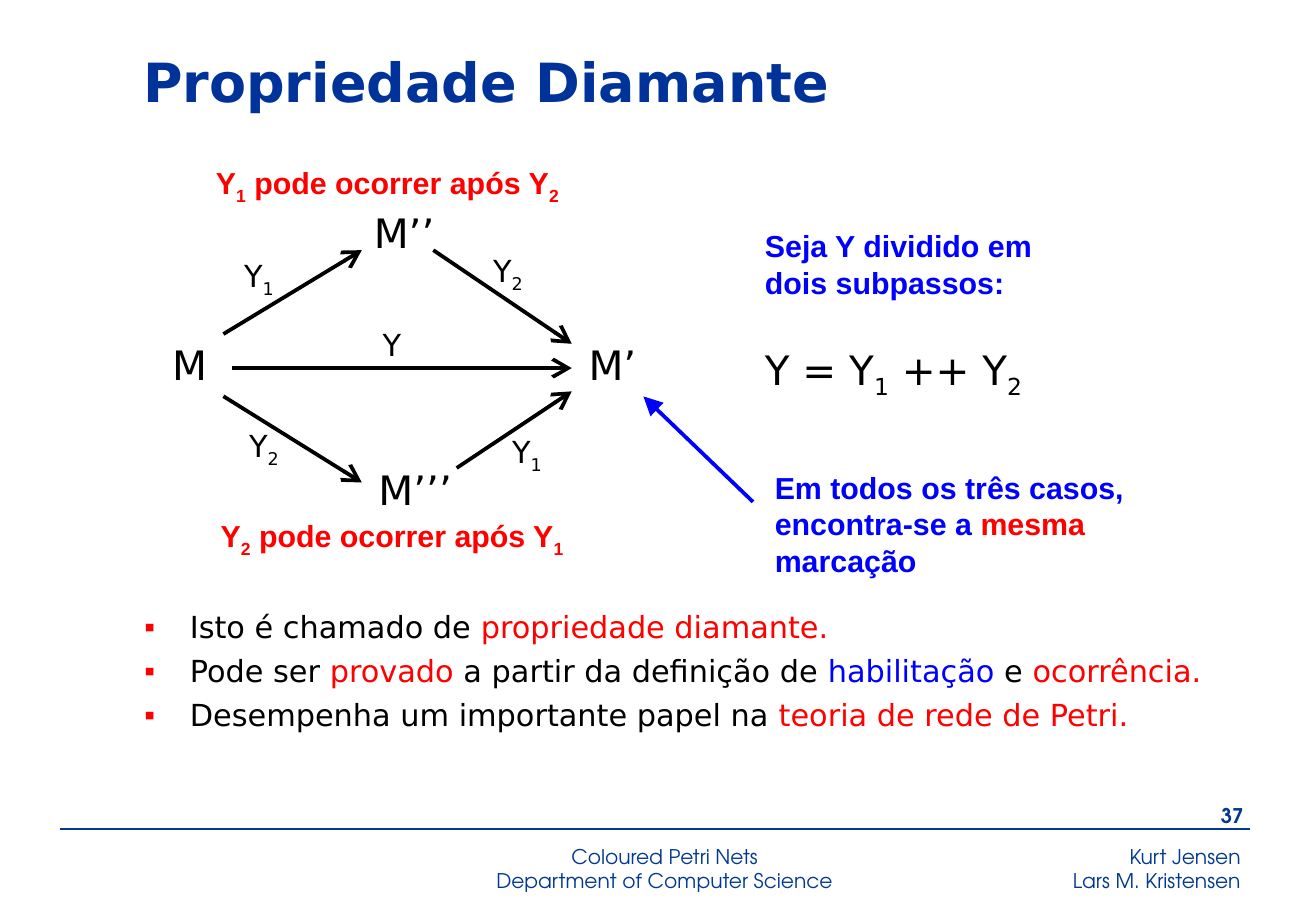
from dataclasses import dataclass

from lxml.etree import SubElement
from pptx import Presentation
from pptx.dml.color import RGBColor
from pptx.enum.shapes import MSO_CONNECTOR as Connector
from pptx.enum.text import MSO_ANCHOR as Anchor, PP_ALIGN as Align
from pptx.oxml.ns import qn
from pptx.util import Pt


@dataclass(frozen=True)
class Style:
    font: str
    size: float
    colour: str
    bold: bool = False
    align: Align = Align.LEFT
    line_spacing: float = 1.0
    space_before: float = 0
    bullet: str = ""


class Theme:
    navy, title_blue = "003893", "003399"
    black, blue, red = "000000", "0000FF", "FF0000"
    sans, note, footer = "DejaVu Sans", "Arial", "TeX Gyre Adventor"
    rule_width, arrow_width = 1.5, 2.25
    bullet_indent = 27
    styles = {
        "title": Style(sans, 32, title_blue, bold=True),
        "marking": Style(sans, 24, black, line_spacing=0.8),
        "step": Style(sans, 18, black, line_spacing=0.8),
        "remark": Style(note, 18, blue, bold=True),
        "caption": Style(note, 18, red, bold=True),
        "bullets": Style(sans, 18, black, space_before=4.5, bullet="▪"),
        "centre": Style(footer, 12, navy, align=Align.CENTER),
        "right": Style(footer, 12, navy, align=Align.RIGHT),
        "number": Style(footer, 12, navy, bold=True, align=Align.RIGHT),
    }


RED, BLUE = Theme.red, Theme.blue
PAGE_SIZE = (780.48, 540)
STEP_SIZE = (42.5, 33.8)
CAPTION_SIZE = (254.9, 31.7)

# Style, (left, top), (width, height), paragraphs. A paragraph is a list of
# spans, each a string or (string, colour); "_" lowers the next character.
TEXTS = [
    ("right", (500.4, 497), (242.6, 36), [["Kurt Jensen"], ["Lars M. Kristensen"]]),
    ("number", (693.4, 472.5), (51.1, 23.8), [["37"]]),
    ("centre", (245.5, 497), (297.4, 33.8),
     [["Coloured Petri Nets"], ["Department of Computer Science"]]),
    ("title", (77.8, 23.3), (470.9, 49.7), [["Propriedade Diamante"]]),
    ("marking", (95, 203.8), (51.1, 33.8), [["M"]]),
    ("marking", (342, 203.8), (51.1, 33.8), [["M’"]]),
    ("marking", (214.6, 125.5), (70.6, 33.8), [["M’’"]]),
    ("marking", (217.4, 277.5), (59.8, 33.8), [["M’’’"]]),
    ("marking", (446.6, 204), (195.8, 33.8), [["Y = Y_1 ++ Y_2"]]),
    ("step", (219.8, 194), STEP_SIZE, [["Y"]]),
    ("step", (137.7, 151.2), STEP_SIZE, [["Y_1"]]),
    ("step", (285.3, 148.5), STEP_SIZE, [["Y_2"]]),
    ("step", (140.6, 252), STEP_SIZE, [["Y_2"]]),
    ("step", (296.6, 255.8), STEP_SIZE, [["Y_1"]]),
    ("remark", (446.6, 131.3), (204.5, 50.4), [["Seja Y dividido em dois subpassos:"]]),
    ("remark", (452.4, 274.6), (229.7, 72),
     [["Em todos os três casos, encontra-se a ", ("mesma", RED), " marcação"]]),
    ("caption", (121, 93.9), CAPTION_SIZE, [["Y_1 pode ocorrer após Y_2"]]),
    ("caption", (123.8, 303.1), CAPTION_SIZE, [["Y_2 pode ocorrer após Y_1"]]),
    ("bullets", (78.5, 357.2), (691.9, 93.6), [
        ["Isto é chamado de ", ("propriedade diamante.", RED)],
        ["Pode ser ", ("provado", RED), " a partir da definição de ",
         ("habilitação", BLUE), " e ", ("ocorrência.", RED)],
        ["Desempenha um importante papel na ", ("teoria de rede de Petri.", RED)],
    ]),
]

FOOTER_RULE = ((35.3, 491.3), (741.6, 491.3))
STEP_ARROWS = [
    ((137.5, 218.2), (339.1, 218.2)),
    ((132.5, 198), (214.6, 148.3)),
    ((257, 148.3), (339.1, 203.8)),
    ((132.5, 234.9), (214.6, 286)),
    ((270.9, 277.4), (339.1, 232)),
]
REMARK_ARROW = ((446.6, 297.5), (381.6, 235))


def add_spans(para, text, colour):
    """Add text in one colour, lowering each character that follows "_"."""
    first, *rest = text.split("_")
    pieces = [(first, False)]
    for part in rest:
        pieces += [(part[0], True), (part[1:], False)]
    for piece, lowered in pieces:
        if not piece:
            continue
        span = para.add_run()
        span.text = piece
        if colour:
            span.font.color.rgb = RGBColor.from_string(colour)
        if lowered:
            span._r.get_or_add_rPr().set("baseline", "-25000")


def add_bullet(para, mark):
    props = para._p.get_or_add_pPr()
    indent = Pt(Theme.bullet_indent)
    props.set("marL", str(indent))
    props.set("indent", str(-indent))
    SubElement(SubElement(props, qn("a:buClr")), qn("a:srgbClr")).set("val", RED)
    SubElement(props, qn("a:buFont")).set("typeface", Theme.note)
    SubElement(props, qn("a:buChar")).set("char", mark)


def format_para(para, style, is_first):
    para.alignment = style.align
    para.line_spacing = style.line_spacing
    if not is_first:
        para.space_before = Pt(style.space_before)
    if style.bullet:
        add_bullet(para, style.bullet)
    font = para.font
    font.name, font.size, font.bold = style.font, Pt(style.size), style.bold
    font.color.rgb = RGBColor.from_string(style.colour)


def add_text(page, kind, corner, size, paragraphs):
    box = page.shapes.add_textbox(*map(Pt, corner + size))
    frame = box.text_frame
    frame.word_wrap = True
    frame.vertical_anchor = Anchor.MIDDLE if kind == "title" else Anchor.TOP
    for index, spans in enumerate(paragraphs):
        para = frame.add_paragraph() if index else frame.paragraphs[0]
        format_para(para, Theme.styles[kind], index == 0)
        for span in spans:
            text, colour = (span, None) if isinstance(span, str) else span
            add_spans(para, text, colour)


def add_line(page, ends, colour, width, head=None):
    start, end = ends
    line = page.shapes.add_connector(Connector.STRAIGHT, *map(Pt, start + end))
    line.line.color.rgb = RGBColor.from_string(colour)
    line.line.width = Pt(width)
    if head:
        tail = SubElement(line.line._get_or_add_ln(), qn("a:tailEnd"))
        for name, value in (("type", head), ("w", "lg"), ("len", "lg")):
            tail.set(name, value)
    SubElement(line._element.spPr, qn("a:effectLst"))


def main():
    deck = Presentation()
    deck.slide_width, deck.slide_height = map(Pt, PAGE_SIZE)
    page = deck.slides.add_slide(deck.slide_layouts[6])
    add_line(page, FOOTER_RULE, Theme.navy, Theme.rule_width)
    for ends in STEP_ARROWS:
        add_line(page, ends, Theme.black, Theme.arrow_width, "arrow")
    add_line(page, REMARK_ARROW, BLUE, Theme.arrow_width, "triangle")
    for text in TEXTS:
        add_text(page, *text)
    deck.save("out.pptx")


if __name__ == "__main__":
    main()
